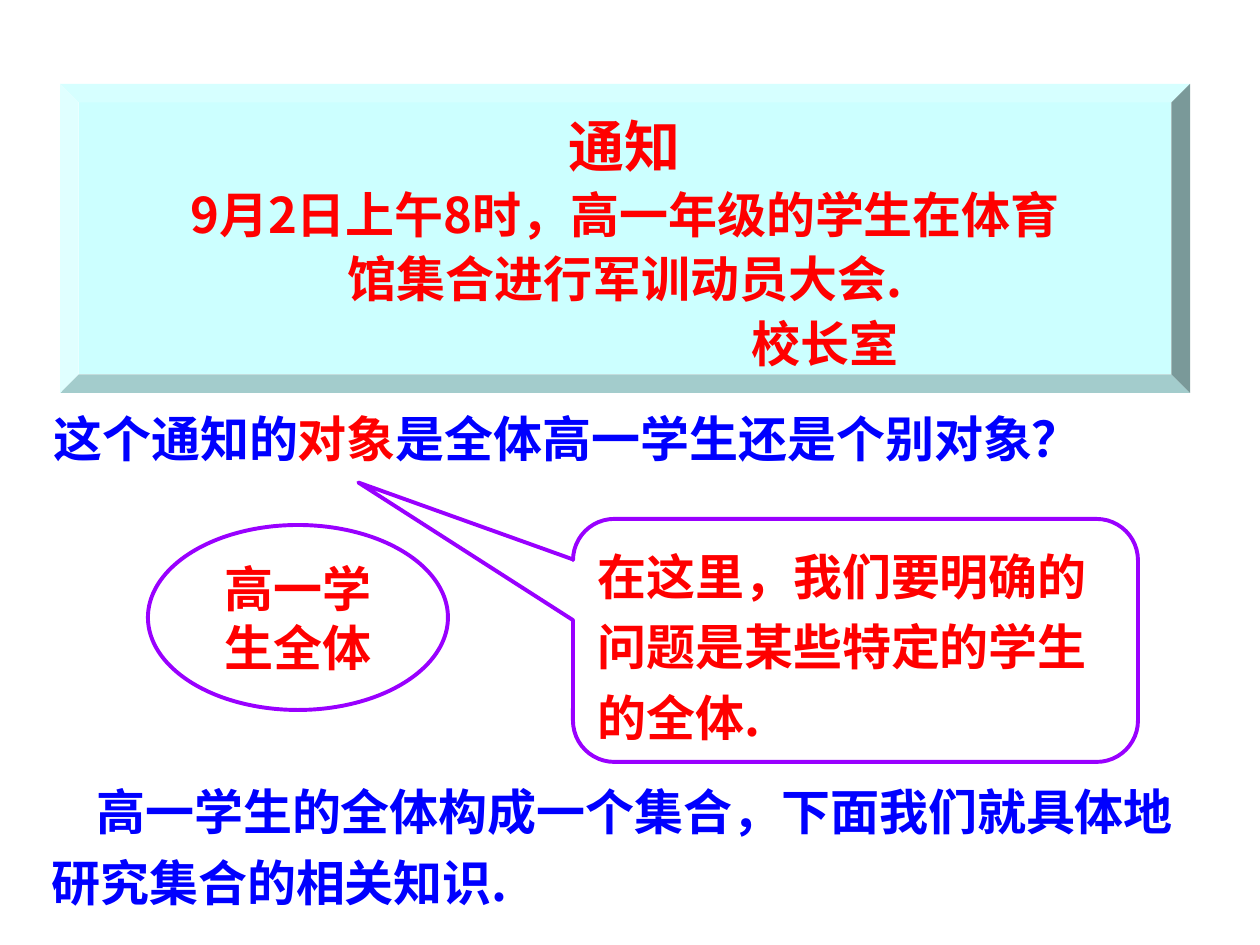
from lxml import etree
from pptx import Presentation
from pptx.dml.color import RGBColor
from pptx.enum.shapes import MSO_SHAPE
from pptx.enum.text import MSO_ANCHOR, PP_ALIGN
from pptx.oxml.ns import qn
from pptx.util import Pt

PX = 7257
FONT = "Noto Sans CJK SC"
COLORS = {"red": "FF0000", "blue": "0000FF", "purple": "9900FF", "panel": "CCFFFF"}
BEVEL = MSO_SHAPE.BEVEL
OVAL = MSO_SHAPE.OVAL
CALLOUT = MSO_SHAPE.ROUNDED_RECTANGULAR_CALLOUT
MIDDLE = MSO_ANCHOR.MIDDLE
CENTER = PP_ALIGN.CENTER
LEFT = PP_ALIGN.LEFT


def px(n):
    return n * PX


def rgb(name):
    return RGBColor.from_string(COLORS[name])


def style_run(r, color, size=28):
    r.font.size = Pt(size)
    r.font.bold = True
    r.font.name = FONT
    r.font.color.rgb = rgb(color)
    etree.SubElement(r.font._element, qn("a:ea"), typeface=FONT)


def style_paragraph(p, color, size=28, align=LEFT, spacing=1.0):
    p.alignment = align
    p.line_spacing = spacing
    for r in p.runs:
        style_run(r, color, size)


def add_shape(s, kind, box, adjustments=()):
    sp = s.shapes.add_shape(kind, *map(px, box))
    sp.shadow.inherit = False
    for i, value in enumerate(adjustments):
        sp.adjustments[i] = value
    sp.text_frame.word_wrap = True
    sp.text_frame.vertical_anchor = MIDDLE
    return sp


def add_notice(s, box):
    sp = add_shape(s, BEVEL, box, [0.06])
    sp.fill.solid()
    sp.fill.fore_color.rgb = rgb("panel")
    sp.line.fill.background()
    tf = sp.text_frame
    tf.margin_top = tf.margin_bottom = 0
    tf.text = "通知\n9月2日上午8时，高一年级的学生在体育\n馆集合进行军训动员大会.\n校长室"
    for i, p in enumerate(tf.paragraphs):
        style_paragraph(p, "red", 28 if i else 32, CENTER, 1.1)
    signature = tf.paragraphs[-1]._p.get_or_add_pPr()
    signature.set("marL", str(px(400)))
    signature.set("indent", "0")


def add_outlined(s, kind, box, text, align, spacing, adjustments=()):
    sp = add_shape(s, kind, box, adjustments)
    sp.fill.background()
    sp.line.color.rgb = rgb("purple")
    sp.line.width = Pt(2.25)
    sp.text_frame.text = text
    style_paragraph(sp.text_frame.paragraphs[0], "red", 28, align, spacing)


def add_text(s, box, parts, spacing=1.0, indent=0):
    tf = s.shapes.add_textbox(*map(px, box)).text_frame
    tf.word_wrap = True
    p = tf.paragraphs[0]
    p.line_spacing = spacing
    p._p.get_or_add_pPr().set("indent", str(px(indent)))
    for text, color in parts:
        r = p.add_run()
        r.text = text
        style_run(r, color)


def main():
    prs = Presentation()
    prs.slide_width, prs.slide_height = px(1260), px(945)
    s = prs.slides.add_slide(prs.slide_layouts[6])
    add_notice(s, (60, 84, 1130, 309))
    add_text(s, (41, 402, 1149, 72), [
        ("这个通知的", "blue"),
        ("对象", "red"),
        ("是全体高一学生还是个别对象？", "blue"),
    ])
    add_outlined(s, CALLOUT, (573, 519, 565, 243),
                 "在这里，我们要明确的问题是某些特定的学生的全体.",
                 LEFT, 1.2, (-0.88, -0.65, 0.17))
    add_outlined(s, OVAL, (148, 525, 300, 185), "高一学生全体", CENTER, 1.0)
    add_text(s, (39, 764, 1168, 154), [
        ("高一学生的全体构成一个集合，下面我们就具体地研究集合的相关知识.", "blue"),
    ], 1.2, 45)
    prs.save("out.pptx")


if __name__ == "__main__":
    main()
